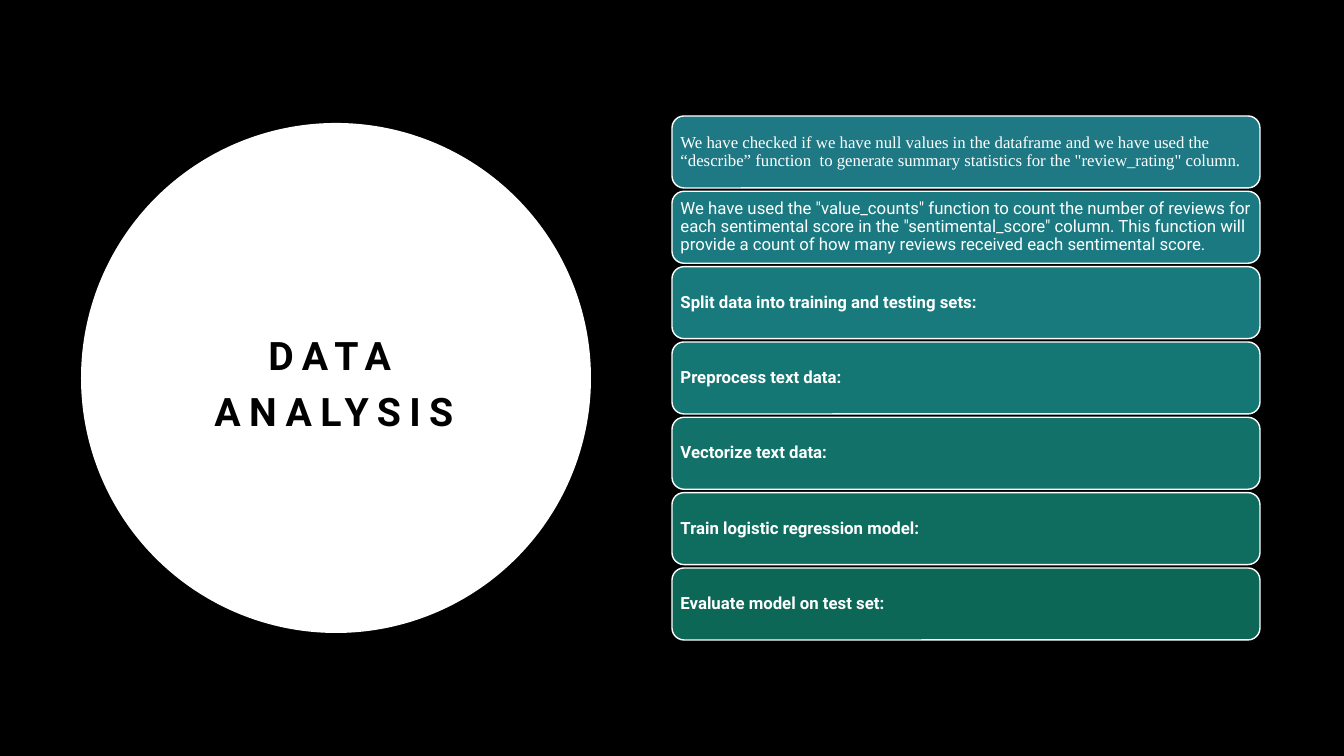
from dataclasses import dataclass

from pptx import Presentation
from pptx.dml.color import RGBColor
from pptx.enum.shapes import MSO_SHAPE
from pptx.enum.text import MSO_ANCHOR, PP_ALIGN
from pptx.util import Emu, Pt

OVAL = MSO_SHAPE.OVAL
ROUNDED = MSO_SHAPE.ROUNDED_RECTANGLE
MIDDLE = MSO_ANCHOR.MIDDLE
CENTER, LEFT = PP_ALIGN.CENTER, PP_ALIGN.LEFT

# Content
TITLE = "DATA ANALYSIS"
SERIF, SANS = "Times New Roman", "Roboto"
STEPS = [  # text, font, bold, fill
    ("We have checked if we have null values in the dataframe and we have used "
     "the “describe” function  to generate summary statistics for the "
     '"review_rating" column.', SERIF, False, "1F7985"),
    ('We have used the "value_counts" function to count the number of reviews '
     'for each sentimental score in the "sentimental_score" column. This '
     "function will provide a count of how many reviews received each "
     "sentimental score.", SANS, False, "1B7A81"),
    ("Split data into training and testing sets:", SANS, True, "187A7C"),
    ("Preprocess text data:", SANS, True, "157773"),
    ("Vectorize text data:", SANS, True, "12726A"),
    ("Train logistic regression model:", SANS, True, "0F6D60"),
    ("Evaluate model on test set:", SANS, True, "0D6756"),
]


@dataclass(frozen=True)
class Theme:
    dark: str = "000000"
    light: str = "FFFFFF"
    title_size: int = 28
    title_tracking: int = 600  # hundredths of a point
    step_size: int = 12
    outline: int = 1


THEME = Theme()

# Layout in px
PAGE_W, PAGE_H = 1344, 756
CIRCLE = (81, 123, 510, 510)
TITLE_BOX = (133, 252, 402, 252)
STACK_X, STACK_Y, STACK_W, STACK_H = 672, 116, 588, 524
CARD_H, CARD_INSET = 72, 5
CARD_PITCH = (STACK_H - CARD_H) / (len(STEPS) - 1)


def px(length):
    return Emu(round(length * 914400 / 100.8))


def add_panel(page, kind, bounds, fill, outline=None):
    panel = page.shapes.add_shape(kind, *map(px, bounds))
    panel.shadow.inherit = False
    panel.fill.solid()
    panel.fill.fore_color.rgb = RGBColor.from_string(fill)
    if outline:
        panel.line.color.rgb = RGBColor.from_string(outline)
        panel.line.width = Pt(THEME.outline)
    else:
        panel.line.fill.background()
    return panel


def write(box, text, font, size, color, bold, align, spacing):
    frame = box.text_frame
    frame.word_wrap = True
    frame.vertical_anchor = MIDDLE
    para = frame.paragraphs[0]
    para.alignment = align
    para.line_spacing = spacing
    para.font.name = font
    para.font.size = Pt(size)
    para.font.bold = bold
    para.font.color.rgb = RGBColor.from_string(color)
    span = para.add_run()
    span.text = text
    return span


def add_title(page):
    add_panel(page, OVAL, CIRCLE, THEME.light)
    box = page.shapes.add_textbox(*map(px, TITLE_BOX))
    span = write(box, TITLE, SANS, THEME.title_size, THEME.dark, True, CENTER, 1.2)
    span._r.get_or_add_rPr().set("spc", str(THEME.title_tracking))


def add_steps(page):
    for index, (text, font, bold, fill) in enumerate(STEPS):
        bounds = (STACK_X, STACK_Y + index * CARD_PITCH, STACK_W, CARD_H)
        card = add_panel(page, ROUNDED, bounds, fill, THEME.light)
        frame = card.text_frame
        frame.margin_left = frame.margin_right = px(CARD_INSET)
        frame.margin_top = frame.margin_bottom = px(CARD_INSET)
        write(card, text, font, THEME.step_size, THEME.light, bold, LEFT, 0.9)


def main():
    deck = Presentation()
    deck.slide_width, deck.slide_height = px(PAGE_W), px(PAGE_H)
    page = deck.slides.add_slide(deck.slide_layouts[6])
    page.background.fill.solid()
    page.background.fill.fore_color.rgb = RGBColor.from_string(THEME.dark)
    add_title(page)
    add_steps(page)
    deck.save("out.pptx")


if __name__ == "__main__":
    main()
